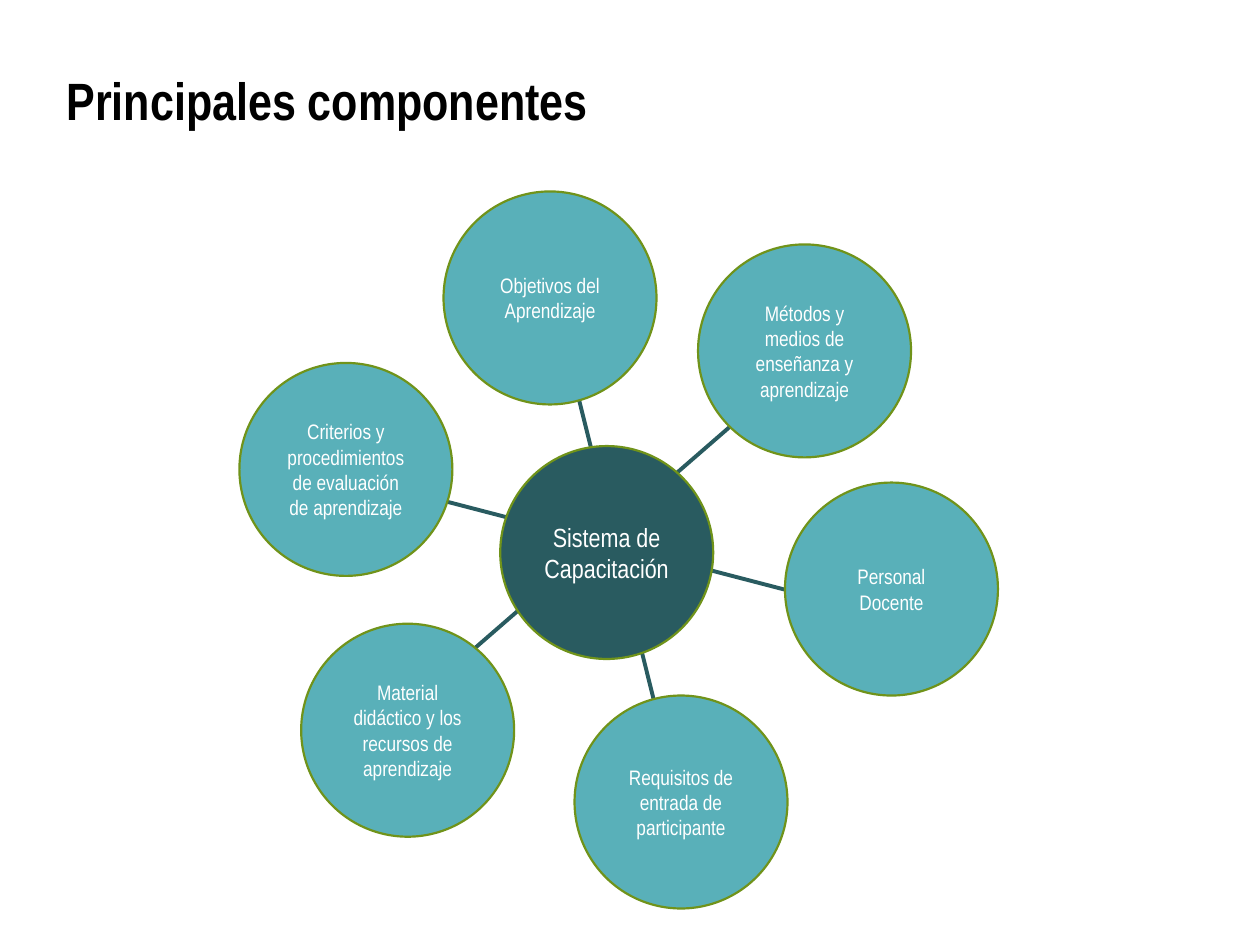
from lxml import etree
from pptx import Presentation
from pptx.dml.color import RGBColor
from pptx.enum.shapes import MSO_CONNECTOR, MSO_SHAPE
from pptx.enum.text import MSO_ANCHOR, PP_ALIGN
from pptx.oxml.ns import qn
from pptx.util import Inches, Pt

STRAIGHT = MSO_CONNECTOR.STRAIGHT
ELLIPSE = MSO_SHAPE.OVAL
TOP, MIDDLE = MSO_ANCHOR.TOP, MSO_ANCHOR.MIDDLE
CENTER, JUSTIFY = PP_ALIGN.CENTER, PP_ALIGN.JUSTIFY

BLACK, WHITE = "000000", "FFFFFF"
DARK_TEAL, TEAL, OLIVE = "295B60", "59B0B9", "70931A"
DIAMETER = Inches(1.69)

# Centres and ends are percentages of the slide's width and height.
HUB = ("Sistema de Capacitación", (48.15, 58.47))
COMPONENTS = [
    ("Métodos y medios de enseñanza y aprendizaje", (63.85, 37.13)),
    ("Objetivos del Aprendizaje", (43.65, 31.53)),
    ("Requisitos de entrada de participante", (54.05, 84.87)),
    ("Material didáctico y los recursos de aprendizaje", (32.35, 77.27)),
    ("Criterios y procedimientos de evaluación de aprendizaje", (27.45, 49.67)),
    ("Personal Docente", (70.75, 62.33)),
]
SPOKES = [
    ((32.7, 52.13), (62.3, 62.4)),
    ((35.2, 71.47), (57.9, 45.2)),
    ((45.8, 41.47), (52.3, 76.27)),
]


def color(value):
    return RGBColor.from_string(value)


class SlideBuilder:
    font_name = "Arial Narrow"

    def __init__(self, presentation):
        self.width = presentation.slide_width
        self.height = presentation.slide_height
        self.slide = presentation.slides.add_slide(presentation.slide_layouts[6])

    def point(self, position):
        """Turn a pair of percentages into slide lengths."""
        x, y = position
        return round(self.width * x / 100), round(self.height * y / 100)

    def add_text(self, shape, text, size, text_color, alignment, frame_format, bold=False):
        frame = shape.text_frame
        for name, value in {"word_wrap": True, **frame_format}.items():
            setattr(frame, name, value)
        paragraph = frame.paragraphs[0]
        paragraph.alignment = alignment
        run = paragraph.add_run()
        run.text = text
        font_format = {"name": self.font_name, "size": Pt(size), "bold": bold}
        for name, value in font_format.items():
            setattr(run.font, name, value)
        run.font.color.rgb = color(text_color)

    def title(self, text, position, size):
        shape = self.slide.shapes.add_textbox(*self.point(position), *self.point(size))
        frame_format = {"vertical_anchor": TOP, "margin_top": Inches(0.07)}
        self.add_text(shape, text, 30, BLACK, JUSTIFY, frame_format, bold=True)

    def spoke(self, start, end):
        connector = self.slide.shapes.add_connector(
            STRAIGHT, *self.point(start), *self.point(end)
        )
        connector.line.color.rgb = color(DARK_TEAL)
        connector.line.width = Pt(2.25)
        etree.SubElement(connector._element.spPr, qn("a:effectLst"))

    def circle(self, text, center, fill, size):
        x, y = self.point(center)
        radius = DIAMETER // 2
        shape = self.slide.shapes.add_shape(
            ELLIPSE, x - radius, y - radius, DIAMETER, DIAMETER
        )
        shape.shadow.inherit = False
        shape.fill.solid()
        shape.fill.fore_color.rgb = color(fill)
        shape.line.color.rgb = color(OLIVE)
        shape.line.width = Pt(1.25)
        self.add_text(shape, text, size, WHITE, CENTER, {"vertical_anchor": MIDDLE})


def main():
    presentation = Presentation()
    presentation.slide_width = Inches(10)
    presentation.slide_height = Inches(7.5)

    builder = SlideBuilder(presentation)
    builder.title("Principales componentes", (4.3, 6.27), (91.5, 11.6))
    for start, end in SPOKES:
        builder.spoke(start, end)
    builder.circle(*HUB, DARK_TEAL, 15)
    for text, center in COMPONENTS:
        builder.circle(text, center, TEAL, 12)

    presentation.save("out.pptx")


if __name__ == "__main__":
    main()
